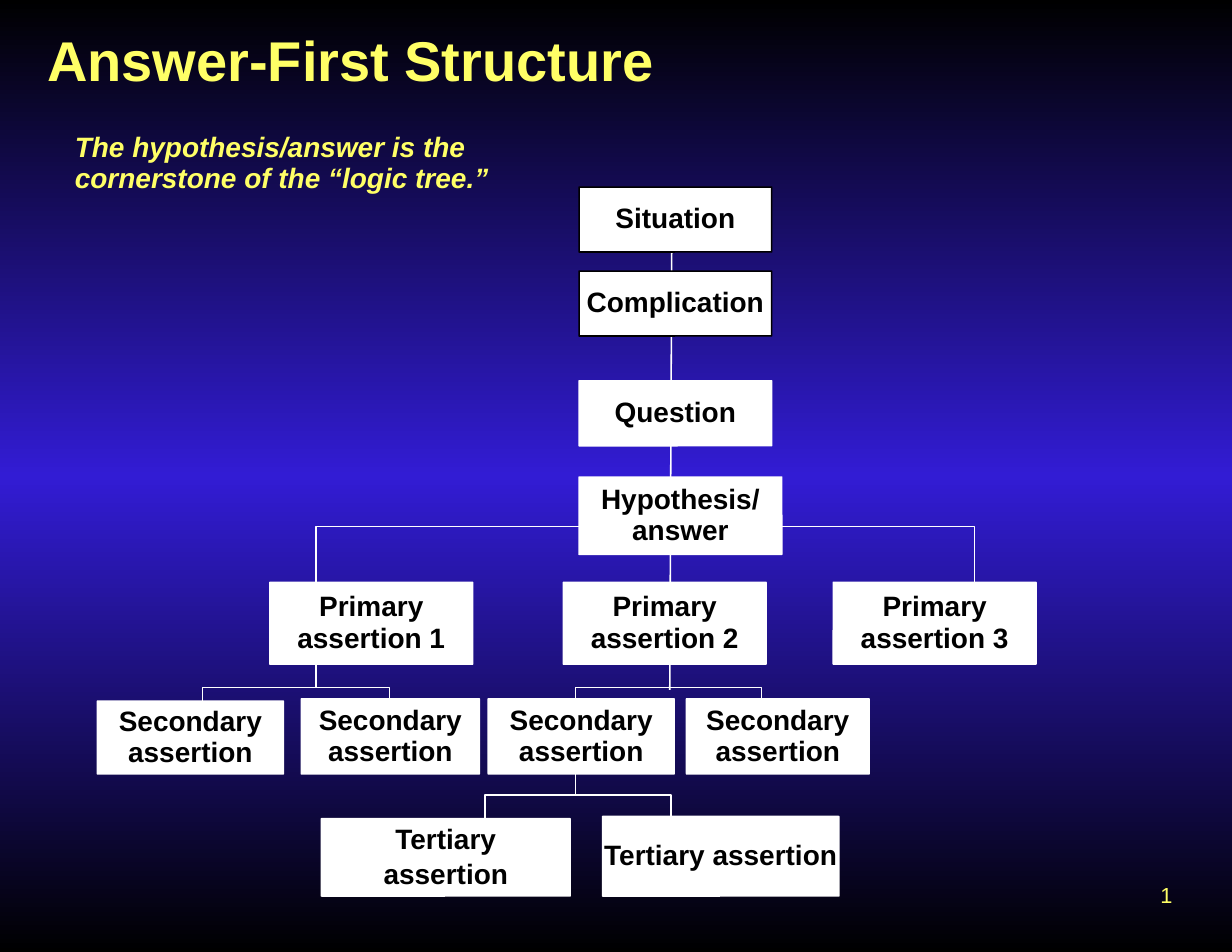
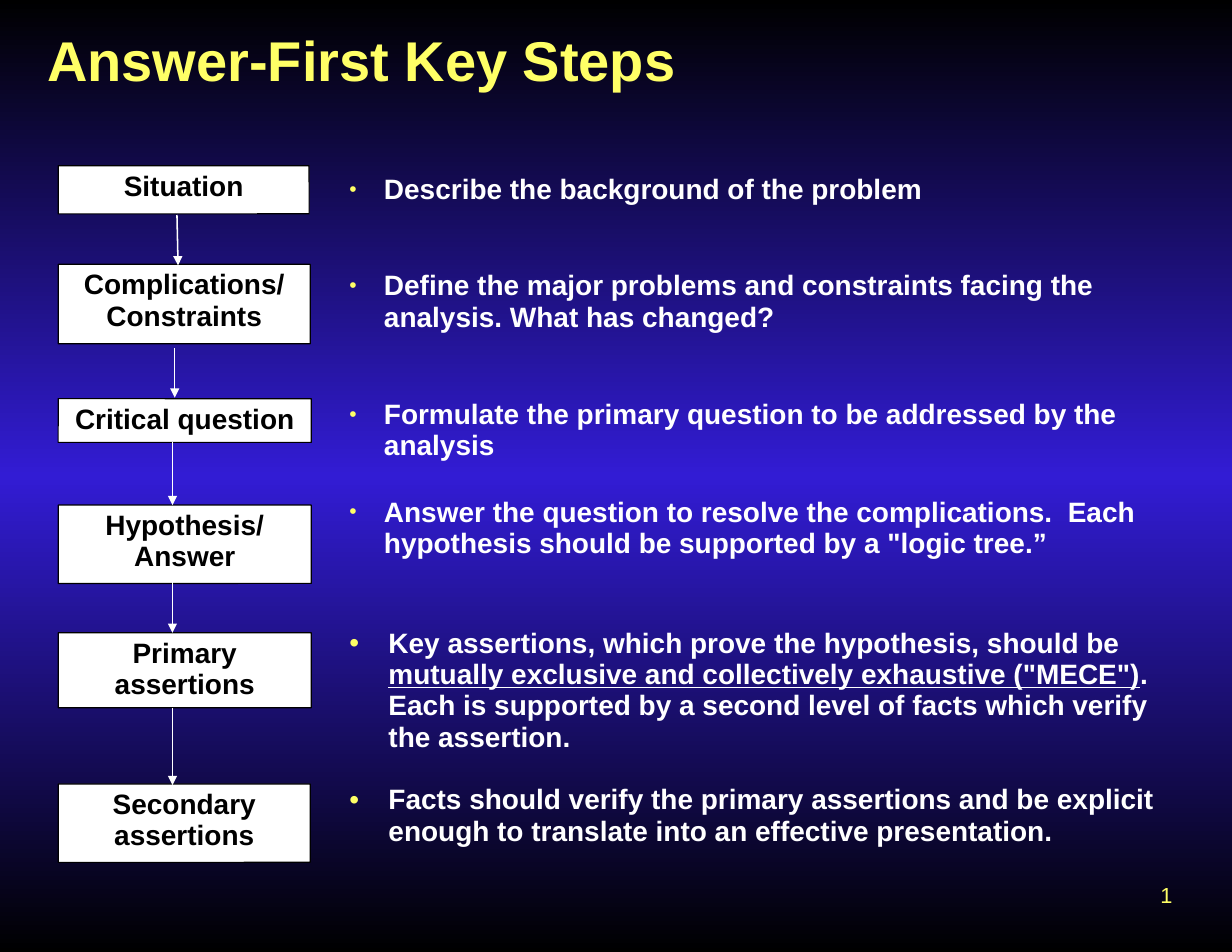
"""Build two slides on the answer-first structure and its key steps."""

from copy import deepcopy
from dataclasses import dataclass
from typing import Any

from lxml.etree import SubElement
from pptx import Presentation
from pptx.dml.color import RGBColor
from pptx.enum.shapes import MSO_CONNECTOR as Connector, MSO_SHAPE as Preset
from pptx.enum.text import MSO_ANCHOR as Anchor, PP_ALIGN as Align
from pptx.oxml.ns import qn
from pptx.slide import Slide
from pptx.util import Inches, Pt

COLOURS = {
    "white": "FFFFFF",
    "black": "000000",
    "yellow": "FFFF66",
    "blue": "321CD4",
}
PLAIN = {"name": "Arial", "size": Pt(14)}
BOLD = {"name": "Arial", "size": Pt(18), "bold": True}
TITLE = BOLD | {"size": Pt(36)}
TAGLINE = BOLD | {"italic": True}
TIGHT = {"line_spacing": 0.93}
CENTRED = TIGHT | {"alignment": Align.CENTER}
STEP = CENTRED | {"space_before": Pt(4.4)}
NO_MARGINS = {f"margin_{side}": 0 for side in ("left", "top", "right", "bottom")}
TREE_FRAME = NO_MARGINS | {"word_wrap": True, "vertical_anchor": Anchor.MIDDLE}
STEP_FRAME = {
    "margin_left": Inches(0.1),
    "margin_right": Inches(0.1),
    "margin_top": Inches(0.05),
    "margin_bottom": Inches(0.05),
    "word_wrap": True,
    "vertical_anchor": Anchor.TOP,
}
PAGE_FRAME = NO_MARGINS | {"word_wrap": False, "vertical_anchor": Anchor.MIDDLE}


@dataclass(frozen=True)
class Area:
    """A rectangle in inches."""

    left: float
    top: float
    width: float
    height: float

    def lengths(self) -> list[Inches]:
        """Return the four values as lengths."""
        return [Inches(v) for v in (self.left, self.top, self.width, self.height)]


@dataclass(frozen=True)
class Node:
    """A labelled white box."""

    label: str
    area: Area
    outline: str = "white"


@dataclass(frozen=True)
class Fork:
    """A bracket that joins one parent to two children."""

    left: float
    right: float
    top: float
    left_foot: float
    right_foot: float


@dataclass(frozen=True)
class Line:
    """A straight line from one point to another."""

    x1: float
    y1: float
    x2: float
    y2: float


@dataclass(frozen=True)
class BulletStyle:
    """Indent, space before and relative size of a bullet."""

    indent: float
    before: float
    percent: int


@dataclass(frozen=True)
class Bullet:
    """An explanation, with its underlined part between bars."""

    text: str
    top: float
    height: float
    style: BulletStyle


FORKS = [
    Fork(4.33, 5.99, 7.10, 7.61, 7.55),
    Fork(5.14, 6.80, 6.14, 7.10, 6.59),
    Fork(1.81, 3.48, 6.14, 6.65, 6.59),
    Fork(2.82, 8.70, 4.70, 6.14, 5.55),
]
SPINE = Line(6.0, 1.73, 5.98, 6.16)
SECONDARY = "Secondary assertion"
TREE = [
    Node("Situation", Area(5.17, 1.67, 1.72, 0.58), "black"),
    Node("Complication", Area(5.17, 2.42, 1.72, 0.58), "black"),
    Node("Question", Area(5.17, 3.40, 1.72, 0.58)),
    Node("Hypothesis/ answer", Area(5.17, 4.26, 1.81, 0.69)),
    *(
        Node(f"Primary assertion {number}", Area(left, 5.2, 1.81, 0.73))
        for number, left in enumerate((2.41, 5.03, 7.44), 1)
    ),
    Node(SECONDARY, Area(0.87, 6.26, 1.66, 0.65)),
    Node(SECONDARY, Area(2.69, 6.24, 1.59, 0.67)),
    Node(SECONDARY, Area(4.36, 6.24, 1.66, 0.67)),
    Node(SECONDARY, Area(6.13, 6.24, 1.63, 0.67)),
    Node("Tertiary\nassertion", Area(2.87, 7.31, 2.22, 0.69)),
    Node("Tertiary assertion", Area(5.38, 7.29, 2.11, 0.71)),
]
STEPS = [
    Node(label, Area(0.52, top, width, height), "black")
    for label, top, width, height in (
        ("Situation", 1.48, 2.24, 0.43),
        ("Complications/ Constraints", 2.36, 2.25, 0.71),
        ("Critical question", 3.56, 2.26, 0.39),
        ("Hypothesis/ Answer", 4.51, 2.26, 0.70),
        ("Primary assertions", 5.65, 2.26, 0.67),
        ("Secondary assertions", 7.00, 2.25, 0.70),
    )
]
ARROWS = [
    Line(1.58, 1.92, 1.59, 2.37),
    Line(1.56, 3.11, 1.56, 3.55),
    Line(1.54, 3.95, 1.54, 4.51),
    Line(1.54, 5.20, 1.54, 5.65),
    Line(1.54, 6.32, 1.54, 7.01),
]
SMALL = BulletStyle(0.31, 4.4, 75)
FLUSH = BulletStyle(0.31, 0, 75)
LARGE = BulletStyle(0.35, 8.9, 100)
BULLETS = [
    Bullet("Describe the background of the problem", 1.51, 0.38, SMALL),
    Bullet(
        "Define the major problems and constraints facing the analysis. "
        "What has changed?", 2.37, 0.66, SMALL,
    ),
    Bullet(
        "Formulate the primary question to be addressed by the analysis",
        3.52, 0.66, SMALL,
    ),
    Bullet(
        "Answer the question to resolve the complications.  Each hypothesis "
        'should be supported by a "logic tree.”', 4.39, 1.26, FLUSH,
    ),
    Bullet(
        "Key assertions, which prove the hypothesis, should be "
        '|mutually exclusive and collectively exhaustive ("MECE")|'
        ".  Each is supported by a second level of facts which verify "
        "the assertion.", 5.56, 1.22, LARGE,
    ),
    Bullet(
        "Facts should verify the primary assertions and be explicit enough "
        "to translate into an effective presentation.", 6.96, 0.66, LARGE,
    ),
]


def colour(name: str) -> RGBColor:
    """Return a named colour."""
    return RGBColor.from_string(COLOURS[name])


def apply(target: Any, values: dict[str, Any]) -> None:
    """Set each attribute in values on target."""
    for name, value in values.items():
        setattr(target, name, value)


def write(box: Any, text: str, frame: dict, layout: dict, font: dict, ink: str) -> None:
    """Fill a box with paragraphs whose parts between bars are underlined."""
    apply(box.text_frame, frame)
    for index, words in enumerate(text.split("\n")):
        para = box.text_frame.add_paragraph() if index else box.text_frame.paragraphs[0]
        apply(para, layout | ({"line_spacing": 1.0} if index else {}))
        for part, piece in enumerate(words.split("|")):
            span = para.add_run()
            span.text = piece
            apply(span.font, font)
            span.font.color.rgb = colour(ink)
            if part % 2:
                span.font.underline = True


def add_text(page: Slide, area: Area, *content: Any) -> Any:
    """Add a text box and return it."""
    box = page.shapes.add_textbox(*area.lengths())
    write(box, *content)
    return box


def add_node(page: Slide, node: Node, weight: float, frame: dict, layout: dict) -> None:
    """Draw a white box with its label."""
    box = page.shapes.add_shape(Preset.ROUNDED_RECTANGLE, *node.area.lengths())
    box.adjustments[0] = 0.003
    box.shadow.inherit = False
    box.fill.solid()
    box.fill.fore_color.rgb = colour("white")
    box.line.color.rgb = colour(node.outline)
    box.line.width = Pt(weight)
    write(box, node.label, frame, layout, BOLD, "black")


def add_fork(page: Slide, fork: Fork) -> None:
    """Draw an open bracket."""
    corners = [
        (Inches(x), Inches(y))
        for x, y in (
            (fork.left, fork.left_foot),
            (fork.left, fork.top),
            (fork.right, fork.top),
            (fork.right, fork.right_foot),
        )
    ]
    builder = page.shapes.build_freeform(*corners[0])
    builder.add_line_segments(corners[1:], close=False)
    bracket = builder.convert_to_shape()
    bracket.shadow.inherit = False
    bracket.fill.background()
    bracket.line.color.rgb = colour("white")
    bracket.line.width = Pt(1)


def add_line(page: Slide, line: Line, arrow: bool = False) -> None:
    """Draw a straight white line, with an arrowhead if asked."""
    ends = [Inches(v) for v in (line.x1, line.y1, line.x2, line.y2)]
    connector = page.shapes.add_connector(Connector.STRAIGHT, *ends)
    connector.line.color.rgb = colour("white")
    connector.line.width = Pt(1)
    properties = connector._element.spPr
    if arrow:
        SubElement(properties.find(qn("a:ln")), qn("a:tailEnd"), type="triangle")
    SubElement(properties, qn("a:effectLst"))


def add_bullet(page: Slide, bullet: Bullet) -> None:
    """Add an explanation with a yellow bullet."""
    style = bullet.style
    layout = TIGHT | {"space_before": Pt(style.before)}
    area = Area(3.02, bullet.top, 7.48, bullet.height)
    box = add_text(page, area, bullet.text, STEP_FRAME, layout, BOLD, "white")
    properties = box.text_frame.paragraphs[0]._p.get_or_add_pPr()
    properties.set("marL", str(Inches(style.indent)))
    properties.set("indent", str(-Inches(style.indent)))
    tint = SubElement(properties, qn("a:buClr"))
    SubElement(tint, qn("a:srgbClr"), val=COLOURS["yellow"])
    SubElement(properties, qn("a:buSzPct"), val=str(style.percent * 1000))
    SubElement(properties, qn("a:buFont"), typeface="Arial")
    SubElement(properties, qn("a:buChar"), char="•")


def set_background(deck: Any) -> None:
    """Give the master a black, blue, black vertical gradient."""
    fill = deck.slide_master.background.fill
    fill.gradient()
    fill.gradient_angle = 270
    first = fill.gradient_stops[0]._gs
    first.addnext(deepcopy(first))
    for stop, name, place in zip(
        fill.gradient_stops, ("black", "blue", "black"), (0, 0.5, 1)
    ):
        stop.color.rgb = colour(name)
        stop.position = place


def add_page(deck: Any, title: str) -> Slide:
    """Add a slide with its title and page number."""
    page = deck.slides.add_slide(deck.slide_layouts[6])
    add_text(page, Area(10.36, 7.84, 0.11, 0.32), "1", PAGE_FRAME, TIGHT, PLAIN, "yellow")
    frame = NO_MARGINS | {"word_wrap": True}
    layout = TIGHT | {"space_before": Pt(18)}
    add_text(page, Area(0.42, 0.28, 7.29, 0.82), title, frame, layout, TITLE, "yellow")
    return page


def main() -> None:
    """Build and save the deck."""
    deck = Presentation()
    deck.slide_width, deck.slide_height = Inches(11), Inches(8.5)
    set_background(deck)

    page = add_page(deck, "Answer-First Structure")
    tagline = "The hypothesis/answer is the cornerstone of the “logic tree.”"
    layout = TIGHT | {"space_before": Pt(11.1)}
    area = Area(0.57, 1.13, 4.26, 0.66)
    add_text(page, area, tagline, STEP_FRAME, layout, TAGLINE, "yellow")
    for fork in FORKS:
        add_fork(page, fork)
    add_line(page, SPINE)
    for node in TREE:
        add_node(page, node, 1, TREE_FRAME, CENTRED)

    page = add_page(deck, "Answer-First Key Steps")
    for bullet in BULLETS:
        add_bullet(page, bullet)
    for step in STEPS:
        add_node(page, step, 0.75, STEP_FRAME, STEP)
    for arrow in ARROWS:
        add_line(page, arrow, arrow=True)

    deck.save("out.pptx")


if __name__ == "__main__":
    main()
